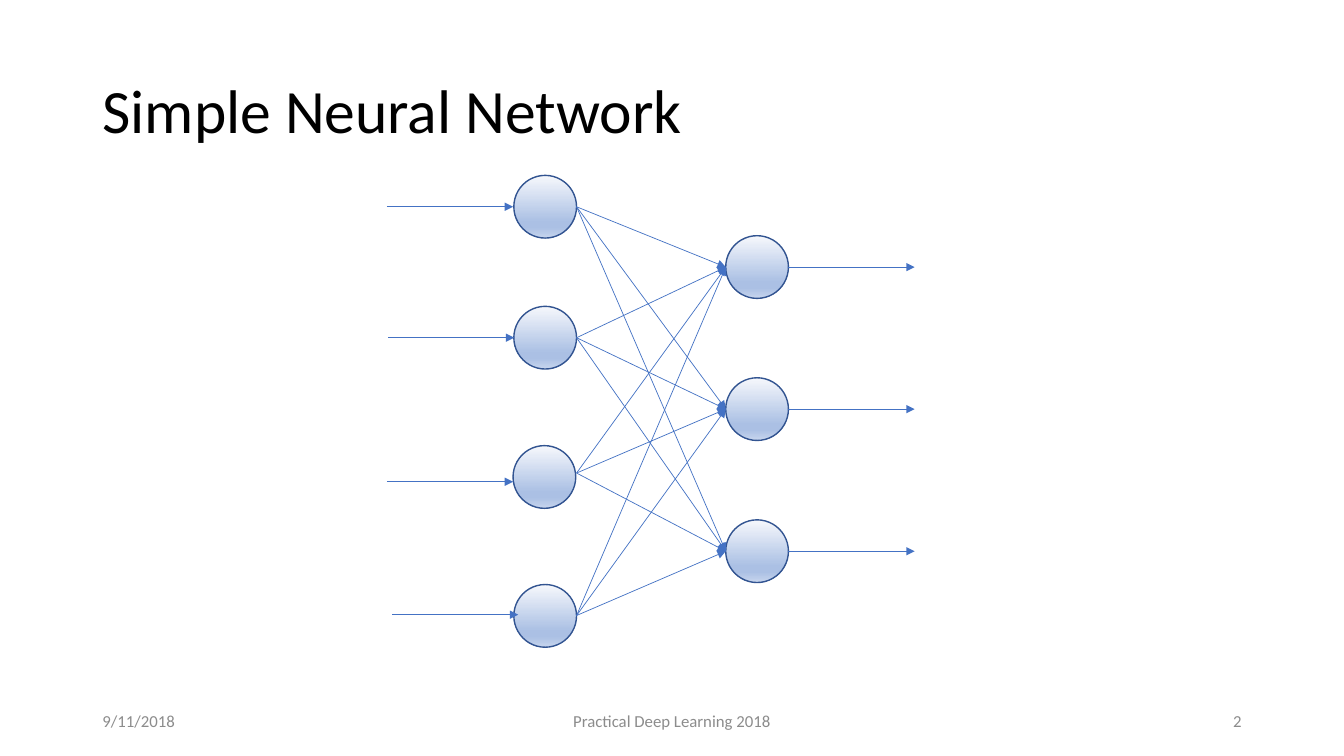
from lxml.etree import SubElement
from pptx import Presentation
from pptx.dml.color import RGBColor
from pptx.enum.shapes import MSO_CONNECTOR, MSO_SHAPE
from pptx.enum.text import MSO_ANCHOR, MSO_AUTO_SIZE, PP_ALIGN
from pptx.oxml.ns import qn
from pptx.util import Cm, Pt

HUES = {
    "title": "000000", "foot": "8C8C8C", "rim": "325491", "wire": "4472C4",
    "top": "F6F8FC", "mid": "ABC0E4", "base": "C7D5ED",
}
STOPS = [(0, "top"), (74, "mid"), (83, "mid"), (100, "base")]
SIZE = 1.58  # node diameter in cm


def tint(name):
    return RGBColor.from_string(HUES[name])


def write(shape, text, size=12, hue="foot", align=PP_ALIGN.LEFT, space=1.0):
    frame = shape.text_frame
    frame.word_wrap = True
    frame.auto_size = MSO_AUTO_SIZE.NONE
    frame.vertical_anchor = MSO_ANCHOR.MIDDLE
    para = frame.paragraphs[0]
    para.alignment = align
    para.line_spacing = space
    run = para.add_run()
    run.text = text
    run.font.name = "Calibri"
    run.font.size = Pt(size)
    run.font.color.rgb = tint(hue)


def add_node(slide, x, y):
    node = slide.shapes.add_shape(MSO_SHAPE.OVAL, Cm(x), Cm(y), Cm(SIZE), Cm(SIZE))
    node.shadow.inherit = False
    node.line.color.rgb = tint("rim")
    node.line.width = Pt(1)
    # Vertical gradient with four stops
    node.fill.gradient()
    node.fill.gradient_angle = 270
    stops = node._element.spPr.find(qn("a:gradFill")).find(qn("a:gsLst"))
    for old in list(stops):
        stops.remove(old)
    for place, hue in STOPS:
        stop = SubElement(stops, qn("a:gs"), pos=str(place * 1000))
        SubElement(stop, qn("a:srgbClr"), val=HUES[hue])


def add_arrow(slide, x1, y1, x2, y2):
    wire = slide.shapes.add_connector(
        MSO_CONNECTOR.STRAIGHT, Cm(x1), Cm(y1), Cm(x2), Cm(y2))
    wire.line.color.rgb = tint("wire")
    wire.line.width = Pt(0.5)
    props = wire._element.spPr
    SubElement(props.find(qn("a:ln")), qn("a:tailEnd"), type="triangle")
    SubElement(props, qn("a:effectLst"))


def add_title(slide, left, top, width, height):
    title = slide.shapes.title
    title.left, title.top = Cm(left), Cm(top)
    title.width, title.height = Cm(width), Cm(height)
    write(title, "Simple Neural Network", size=44, hue="title", space=0.9)


def add_net(slide, left, top):
    # Input layer: node x, node y, arrow x, arrow y, height where edges start
    inputs = [
        (3.2, 0, 0, 0.79, 0.79),
        (3.2, 3.3, 0.03, 4.09, 4.09),
        (3.18, 6.81, 0, 7.72, 7.5),
        (3.2, 10.31, 0.13, 11.07, 11.09),
    ]
    reach = 3.18  # length of input and output arrows
    start, end = left + 4.78, left + 8.54
    outs = [top + 1.52 + 3.58 * i for i in range(3)]

    # Nodes
    for x, y, *_ in inputs:
        add_node(slide, left + x, top + y)
    for y in outs:
        add_node(slide, end, y)

    # Input arrows and the edges between the layers
    for _, _, x, y, edge in inputs:
        add_arrow(slide, left + x, top + y, left + x + reach, top + y)
        for out in outs:
            add_arrow(slide, start, top + edge, end, out + SIZE / 2)

    # Output arrows
    for out in outs:
        mid = out + SIZE / 2
        add_arrow(slide, end + SIZE, mid, end + SIZE + reach, mid)


def add_footer(slide, left, top, width, height):
    side, span = 7.62, 11.43
    parts = [
        (0, side, "9/11/2018", PP_ALIGN.LEFT),
        ((width - span) / 2, span, "Practical Deep Learning 2018", PP_ALIGN.CENTER),
        (width - side, side, "2", PP_ALIGN.RIGHT),
    ]
    for x, wide, text, align in parts:
        box = slide.shapes.add_textbox(Cm(left + x), Cm(top), Cm(wide), Cm(height))
        write(box, text, align=align)


def main():
    deck = Presentation()
    deck.slide_width, deck.slide_height = Cm(33.87), Cm(19.05)
    slide = deck.slides.add_slide(deck.slide_layouts[5])
    add_title(slide, 2.33, 1.01, 29.21, 3.68)
    add_footer(slide, 2.33, 17.66, 29.21, 1.01)
    add_net(slide, 9.75, 4.42)
    deck.save("out.pptx")


if __name__ == "__main__":
    main()
